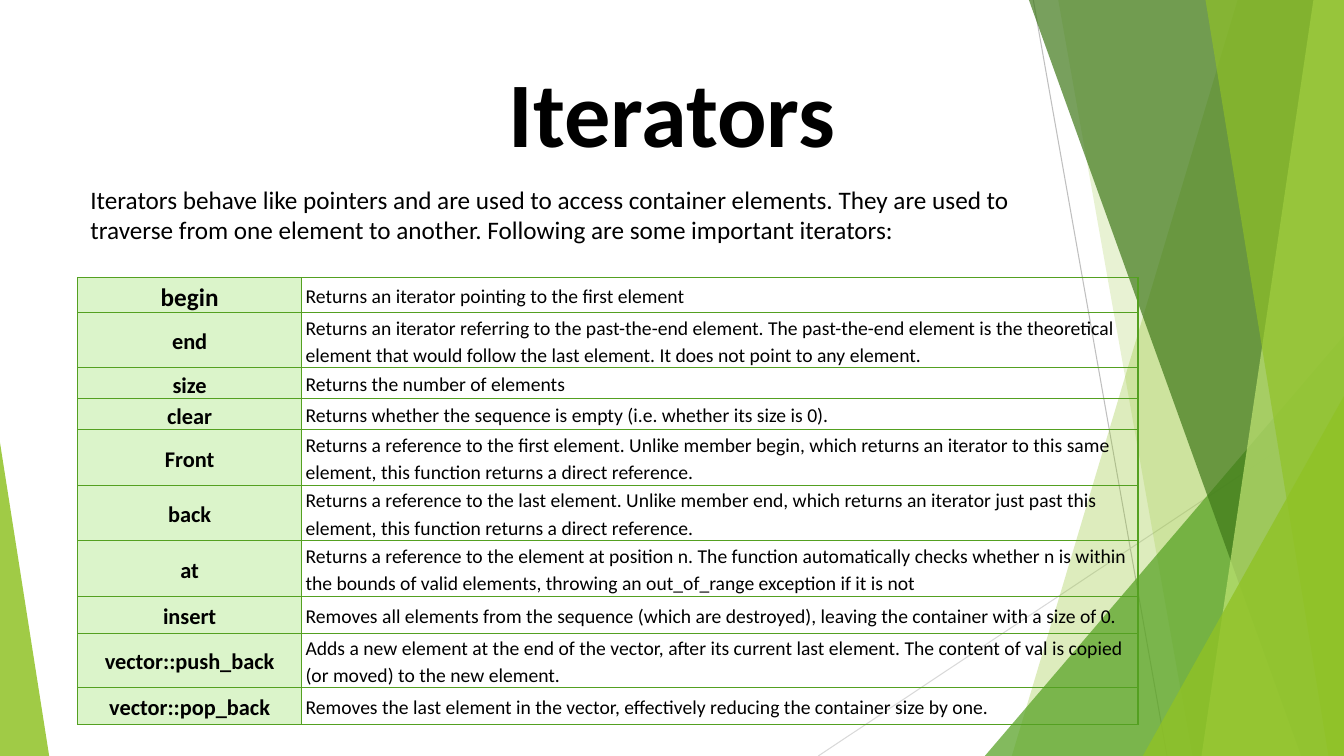
from lxml import etree
from pptx import Presentation
from pptx import util as u
from pptx.dml.color import RGBColor
from pptx.enum import shapes, text
from pptx.oxml.ns import qn

COLORS = {
    "black": "000000", "lime": "90C226", "green": "54A021", "forest": "3F7819",
    "pale": "C0E474", "mint": "DBF4CA", "gray": "BFBFBF", "silver": "D9D9D9",
}
FONT = "Calibri"
WIDTH, HEIGHT = 33.87, 19.05

TITLE = "Iterators"
INTRO = (
    "Iterators behave like pointers and are used to access container elements. "
    "They are used to traverse from one element to another. "
    "Following are some important iterators:"
)
COLUMNS = (5.64, 21.08)
MEMBERS = [
    ("begin", 18, 0.88, "Returns an iterator pointing to the first element"),
    ("end", 16, 1.39, "Returns an iterator referring to the past-the-end element. "
     "The past-the-end element is the theoretical element that would follow the last element. "
     "It does not point to any element."),
    ("size", 16, 0.78, "Returns the number of elements"),
    ("clear", 16, 0.78, "Returns whether the sequence is empty (i.e. whether its size is 0)."),
    ("Front", 16, 1.4, "Returns a reference to the first element. Unlike member begin, "
     "which returns an iterator to this same element, this function returns a direct reference."),
    ("back", 16, 1.4, "Returns a reference to the last element. Unlike member end, "
     "which returns an iterator just past this element, this function returns a direct reference."),
    ("at", 16, 1.4, "Returns a reference to the element at position n. "
     "The function automatically checks whether n is within the bounds of valid elements, "
     "throwing an out_of_range exception if it is not"),
    ("insert", 16, 0.93, "Removes all elements from the sequence (which are destroyed), "
     "leaving the container with a size of 0."),
    ("vector::push_back", 16, 1.36, "Adds a new element at the end of the vector, "
     "after its current last element. "
     "The content of val is copied (or moved) to the new element."),
    ("vector::pop_back", 16, 0.94, "Removes the last element in the vector, "
     "effectively reducing the container size by one."),
]

RAYS = [((26.04, 0), (29.41, HEIGHT), "gray"), ((WIDTH, 10.24), (20.62, HEIGHT), "silver")]
FACETS = [
    ("band", (31.19, 25.5), "lime", 30),
    ("band", (26.67, 30.05), "lime", 20),
    ("triangle", (24.82, 8.46, 9.05, 1), "green", 72),
    ("band", (25.93, 32.79), "forest", 70),
    ("band", (33.1, 30.28), "pale", 70),
    ("band", (30.38, 33.48), "lime", 65),
    ("triangle", (28.8, 9.98, 5.07, 1), "lime", 80),
    ("triangle", (0, 11.15, 1.24, 0), "lime", 85),
]


def color(name):
    return RGBColor.from_string(COLORS[name])


def draw_ray(page, start, end, name):
    ray = page.shapes.add_connector(
        shapes.MSO_CONNECTOR.STRAIGHT, *(u.Cm(value) for value in start + end))
    ray.line.color.rgb = color(name)
    ray.line.width = u.Pt(0.75)
    etree.SubElement(ray.element.spPr, qn("a:effectLst"))


def draw_facet(page, kind, place, name, opacity):
    if kind == "band":
        top, bottom = place
        corners = [(u.Cm(x), u.Cm(y)) for x, y in
                   ((top, 0), (WIDTH, 0), (WIDTH, HEIGHT), (bottom, HEIGHT))]
        builder = page.shapes.build_freeform(*corners[0])
        builder.add_line_segments(corners[1:], close=True)
        facet = builder.convert_to_shape()
    else:
        left, top, width, apex = place
        facet = page.shapes.add_shape(
            shapes.MSO_SHAPE.ISOSCELES_TRIANGLE,
            u.Cm(left), u.Cm(top), u.Cm(width), u.Cm(HEIGHT - top))
        facet.adjustments[0] = apex
    facet.shadow.inherit = False
    facet.line.fill.background()
    facet.fill.solid()
    facet.fill.fore_color.rgb = color(name)
    paint = facet.element.spPr.find(qn("a:solidFill"))[0]
    etree.SubElement(paint, qn("a:alpha"), val=str(opacity * 1000))


def write(frame, words, size, bold=False, align=text.PP_ALIGN.LEFT, spacing=1.15):
    frame.word_wrap = True
    para = frame.paragraphs[0]
    para.text = words
    para.alignment = align
    para.line_spacing = spacing
    para.space_before = u.Pt(0)
    para.font.name = FONT
    para.font.size = u.Pt(size)
    para.font.bold = bold
    para.font.color.rgb = color("black")


def outline(cell):
    properties = cell._tc.get_or_add_tcPr()
    for index, side in enumerate(("lnL", "lnR", "lnT", "lnB")):
        border = etree.Element(qn("a:" + side), w=str(u.Pt(1)))
        fill = etree.SubElement(border, qn("a:solidFill"))
        etree.SubElement(fill, qn("a:srgbClr"), val=COLORS["green"])
        properties.insert(index, border)


def fill_cell(cell, words, size, heading):
    cell.margin_left = cell.margin_right = u.Cm(0.1)
    cell.margin_top = cell.margin_bottom = 0
    cell.vertical_anchor = text.MSO_ANCHOR.MIDDLE
    if heading:
        cell.fill.solid()
        cell.fill.fore_color.rgb = color("mint")
    else:
        cell.fill.background()
    align = text.PP_ALIGN.CENTER if heading else text.PP_ALIGN.LEFT
    write(cell.text_frame, words, size, heading, align)
    outline(cell)


def add_members(page):
    total = sum(height for _, _, height, _ in MEMBERS)
    table = page.shapes.add_table(
        len(MEMBERS), len(COLUMNS), u.Cm(1.96), u.Cm(7),
        u.Cm(sum(COLUMNS)), u.Cm(total)).table
    table.first_row = table.horz_banding = False
    for column, width in zip(table.columns, COLUMNS):
        column.width = u.Cm(width)
    for index, (member, size, height, meaning) in enumerate(MEMBERS):
        table.rows[index].height = u.Cm(height)
        fill_cell(table.cell(index, 0), member, size, True)
        fill_cell(table.cell(index, 1), meaning, 14, False)


def main():
    deck = Presentation()
    deck.slide_width, deck.slide_height = u.Cm(WIDTH), u.Cm(HEIGHT)
    page = deck.slides.add_slide(deck.slide_layouts[5])

    for ray in RAYS:
        draw_ray(page, *ray)
    for facet in FACETS:
        draw_facet(page, *facet)

    title = page.shapes.title
    page.shapes.element.append(title.element)
    title.left, title.top = u.Cm(0), u.Cm(0.84)
    title.width, title.height = u.Cm(WIDTH), u.Cm(3.3)
    title.text_frame.auto_size = text.MSO_AUTO_SIZE.NONE
    title.text_frame.vertical_anchor = text.MSO_ANCHOR.TOP
    write(title.text_frame, TITLE, 66, True, text.PP_ALIGN.CENTER)

    intro = page.shapes.add_textbox(u.Cm(2.03), u.Cm(4.52), u.Cm(24.59), u.Cm(1.8))
    write(intro.text_frame, INTRO, 18, spacing=1.0)

    add_members(page)
    deck.save("out.pptx")


if __name__ == "__main__":
    main()
